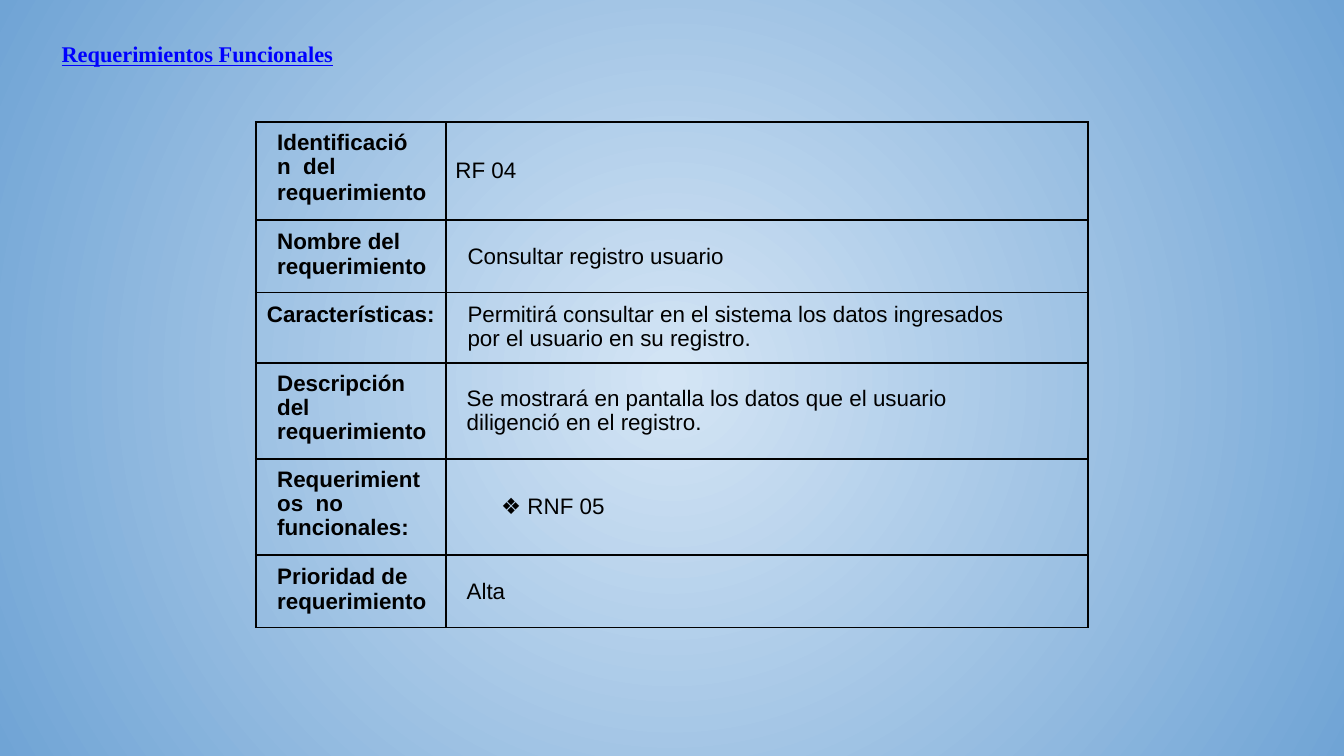
import pptx
import pptx.util
import pptx.dml.color
import pptx.enum.text
import pptx.oxml
import pptx.oxml.ns
from dataclasses import dataclass
from lxml import etree

Pt = pptx.util.Pt
RGB = pptx.dml.color.RGBColor
ANCHOR = pptx.enum.text.MSO_ANCHOR
ALIGN = pptx.enum.text.PP_ALIGN
qn = pptx.oxml.ns.qn


@dataclass(frozen=True)
class Theme:
    centre: RGB = RGB(0xD4, 0xE5, 0xF5)
    edge: RGB = RGB(0x70, 0xA4, 0xD5)
    title: RGB = RGB(0, 0, 0xFF)
    ink: RGB = RGB(0, 0, 0)
    title_font: str = "Times New Roman"
    body_font: str = "Arial"
    size: float = 12
    border: float = 1
    cell_margin: float = 5


@dataclass(frozen=True)
class Line:
    """A paragraph with its indents, in points."""
    text: str
    left: float = 6.5
    right: float = 0
    spacing: float = 1
    before: float = 0
    align: ALIGN = ALIGN.LEFT


THEME = Theme()
COLUMNS = (102, 344)
TIGHT = 0.96
# Row height, label lines, value line
ROWS = (
    (49, [Line("Identificación  del", right=12.7, spacing=TIGHT),
          Line("requerimiento", before=0.3)], Line("RF 04", left=0)),
    (36.5, [Line("Nombre del"), Line("requerimiento")],
     Line("Consultar registro usuario")),
    (36, [Line("Características:", left=0, align=ALIGN.CENTER)],
     Line("Permitirá consultar en el sistema los datos ingresados "
          "por el usuario en su registro.", right=30, spacing=TIGHT)),
    (48, [Line("Descripción del  requerimiento", spacing=TIGHT)],
     Line("Se mostrará en pantalla los datos que el usuario "
          "diligenció en el registro.", left=6, right=30, spacing=TIGHT)),
    (48, [Line("Requerimientos  no funcionales:", right=5.7, spacing=TIGHT)],
     Line("❖ RNF 05", left=24.5)),
    (37, [Line("Prioridad de"), Line("requerimiento")], Line("Alta", left=6)),
)


def paint_background(page):
    """Fill the page with a gradient that spreads from its centre."""
    fill = page.background.fill
    fill.gradient()
    for stop, colour in zip(fill.gradient_stops, (THEME.centre, THEME.edge)):
        stop.color.rgb = colour
    gradient = page.background._cSld.find(".//" + qn("a:gradFill"))
    gradient.remove(gradient.find(qn("a:lin")))
    circle = etree.SubElement(gradient, qn("a:path"), {"path": "circle"})
    sides = dict.fromkeys("ltrb", "50000")
    etree.SubElement(circle, qn("a:fillToRect"), sides)


def add_span(para, text, font, colour, bold=False, underline=False):
    span = para.add_run()
    span.text = text
    span.font.name = font
    span.font.size = Pt(THEME.size)
    span.font.color.rgb = colour
    span.font.bold = bold
    span.font.underline = underline


def add_title(page, text):
    box = page.shapes.add_textbox(Pt(24.5), Pt(14.4), Pt(671), Pt(45.4))
    frame = box.text_frame
    frame.word_wrap = True
    frame.margin_left = frame.margin_right = Pt(8.5)
    frame.margin_top = frame.margin_bottom = Pt(7.2)
    add_span(frame.paragraphs[0], text, THEME.title_font, THEME.title,
             bold=True, underline=True)


def draw_borders(cell):
    properties = cell._tc.get_or_add_tcPr()
    for position, side in enumerate(("lnL", "lnR", "lnT", "lnB")):
        border = etree.Element(qn("a:" + side), {"w": str(Pt(THEME.border))})
        paint = etree.SubElement(border, qn("a:solidFill"))
        etree.SubElement(paint, qn("a:srgbClr"), {"val": str(THEME.ink)})
        properties.insert(position, border)


def fill_cell(cell, lines, bold, anchor):
    cell.fill.background()
    draw_borders(cell)
    cell.vertical_anchor = anchor
    margin = Pt(THEME.cell_margin)
    cell.margin_left = cell.margin_right = margin
    cell.margin_top = cell.margin_bottom = margin
    frame = cell.text_frame
    for index, line in enumerate(lines):
        para = frame.add_paragraph() if index else frame.paragraphs[0]
        para.alignment = line.align
        para.line_spacing = line.spacing
        para.space_before = Pt(line.before)
        indents = para._p.get_or_add_pPr()
        indents.set("marL", str(Pt(line.left)))
        indents.set("marR", str(Pt(line.right)))
        indents.set("indent", "0")
        add_span(para, line.text, THEME.body_font, THEME.ink, bold)


def add_requirement_table(page):
    height = sum(row[0] for row in ROWS)
    table = page.shapes.add_table(len(ROWS), len(COLUMNS), Pt(137), Pt(65.5),
                                  Pt(sum(COLUMNS)), Pt(height)).table
    table.first_row = table.horz_banding = False
    for column, width in zip(table.columns, COLUMNS):
        column.width = Pt(width)
    for index, (row_height, label, value) in enumerate(ROWS):
        table.rows[index].height = Pt(row_height)
        fill_cell(table.cell(index, 0), label, True, ANCHOR.TOP)
        fill_cell(table.cell(index, 1), [value], False, ANCHOR.MIDDLE)


def main():
    deck = pptx.Presentation()
    deck.slide_width, deck.slide_height = Pt(720), Pt(405)
    page = deck.slides.add_slide(deck.slide_layouts[6])
    paint_background(page)
    add_title(page, "Requerimientos Funcionales")
    add_requirement_table(page)
    deck.save("out.pptx")


if __name__ == "__main__":
    main()
